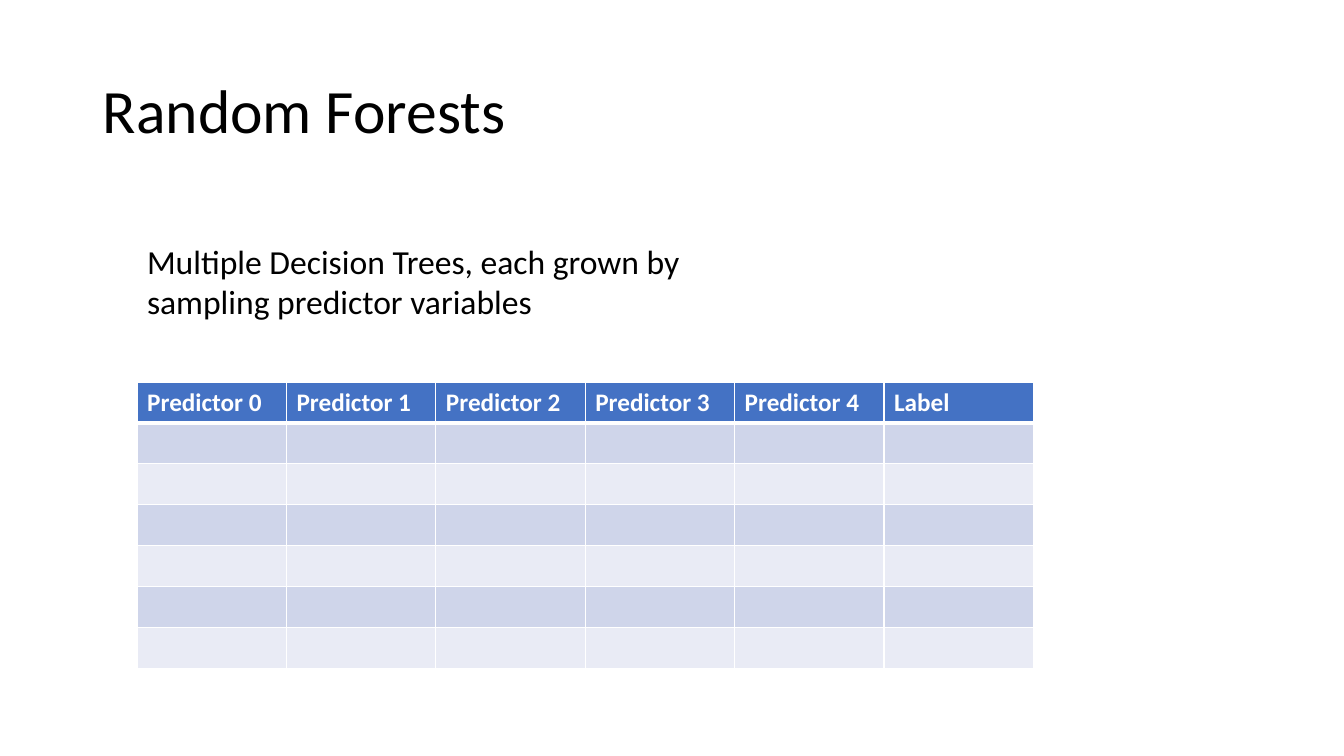
from lxml import etree
from pptx import Presentation
from pptx.dml.color import RGBColor
from pptx.enum.text import MSO_ANCHOR, MSO_AUTO_SIZE, PP_ALIGN
from pptx.oxml.ns import qn
from pptx.util import Inches, Pt

BLACK = RGBColor(0x00, 0x00, 0x00)
WHITE = RGBColor(0xFF, 0xFF, 0xFF)
BLUE = RGBColor(0x44, 0x72, 0xC4)
BANDS = [RGBColor(0xE9, 0xEB, 0xF5), RGBColor(0xCF, 0xD5, 0xEA)]
LEFT = PP_ALIGN.LEFT
MIDDLE = MSO_ANCHOR.MIDDLE
NO_FIT = MSO_AUTO_SIZE.NONE
GROW = MSO_AUTO_SIZE.SHAPE_TO_FIT_TEXT


def write(frame, text, size, color=BLACK, bold=False, spacing=1.0):
    para = frame.paragraphs[0]
    para.alignment = LEFT
    para.line_spacing = spacing
    run = para.add_run()
    run.text = text
    font = run.font
    font.name = "Calibri"
    font.size = Pt(size)
    font.bold = bold
    font.color.rgb = color


def add_edge(cell, side, width):
    """Draw a white border on one side of a cell, before its fill is set."""
    line = etree.SubElement(cell._tc.get_or_add_tcPr(), qn(f"a:ln{side}"), w=str(Pt(width)))
    fill = etree.SubElement(line, qn("a:solidFill"))
    etree.SubElement(fill, qn("a:srgbClr"), val=str(WHITE))


deck = Presentation()
deck.slide_width = Inches(13.33)
deck.slide_height = Inches(7.5)
slide = deck.slides.add_slide(deck.slide_layouts[5])

title = slide.shapes.title
title.left, title.top = Inches(0.92), Inches(0.4)
title.width, title.height = Inches(11.5), Inches(1.45)
title.text_frame.auto_size = NO_FIT
title.text_frame.vertical_anchor = MIDDLE
write(title.text_frame, "Random Forests", 44, spacing=0.9)

note = slide.shapes.add_textbox(Inches(1.36), Inches(2.34), Inches(5.62), Inches(0.91))
note.text_frame.word_wrap = True
note.text_frame.auto_size = GROW
write(note.text_frame, "Multiple Decision Trees, each grown by sampling predictor variables", 24)

heads = [f"Predictor {n}" for n in range(5)] + ["Label"]
table = slide.shapes.add_table(
    7, len(heads), Inches(1.36), Inches(3.79), Inches(8.89), Inches(2.84)
).table

for r, row in enumerate(table.rows):
    for cell in row.cells:
        add_edge(cell, "L", 1)
        add_edge(cell, "R", 1)
        add_edge(cell, "T", 3 if r == 1 else 1)
        add_edge(cell, "B", 3 if r == 0 else 1)
        cell.fill.solid()
        cell.fill.fore_color.rgb = BANDS[r % 2] if r else BLUE

for cell, head in zip(table.rows[0].cells, heads):
    write(cell.text_frame, head, 18, color=WHITE, bold=True)

deck.save("out.pptx")
